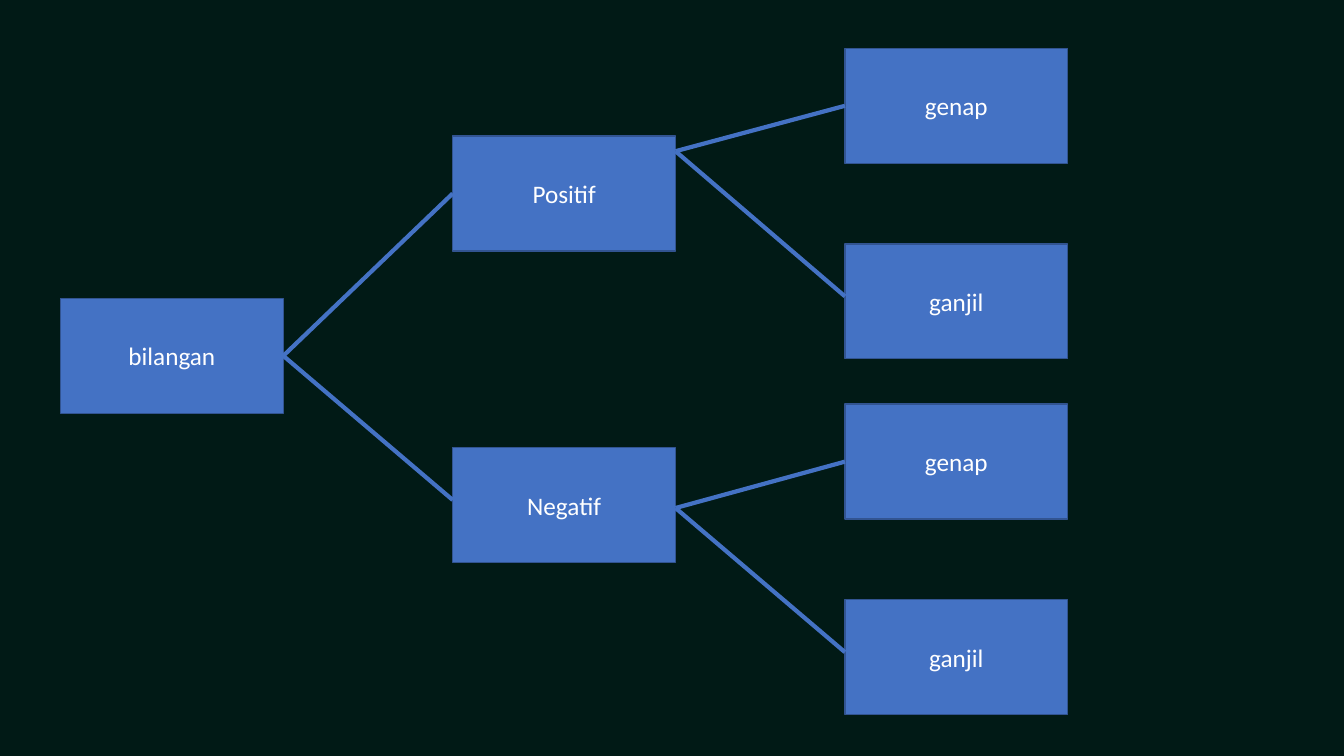
from dataclasses import dataclass

import pptx
import pptx.dml.color
import pptx.enum.shapes
import pptx.enum.text
import pptx.oxml.ns
import pptx.shapes.autoshape
import pptx.slide
import pptx.util
from lxml import etree
from pptx.util import Inches


@dataclass(frozen=True)
class Theme:
    background: str = "011A16"
    box: str = "4472C4"
    border: str = "325491"
    branch: str = "4472C4"
    label: str = "FFFFFF"
    font: str = "Calibri"
    label_size: float = 18
    border_width: float = 1
    branch_width: float = 3


@dataclass(frozen=True)
class Category:
    label: str
    top: float
    fork_y: float | None = None  # None: branches leave from the side's middle
    children: tuple["Category", ...] = ()


THEME = Theme()
LEFT, COLUMN_STEP = 0.6, 3.89
BOX_WIDTH, BOX_HEIGHT = 2.21, 1.14
LOWER_BRANCH_RISE = 0.05  # lower branches meet their box just above its middle
LEFT_SIDE, RIGHT_SIDE = 1, 3

NUMBERS = Category("bilangan", 2.96, children=(
    Category("Positif", 1.35, 1.5, (
        Category("genap", 0.48), Category("ganjil", 2.42))),
    Category("Negatif", 4.44, 5.04, (
        Category("genap", 4.01), Category("ganjil", 5.95))),
))


def rgb(value: str) -> pptx.dml.color.RGBColor:
    return pptx.dml.color.RGBColor.from_string(value)


def column_left(level: int) -> float:
    return LEFT + level * COLUMN_STEP


def add_box(slide: pptx.slide.Slide, category: Category,
            level: int) -> pptx.shapes.autoshape.Shape:
    box = slide.shapes.add_shape(
        pptx.enum.shapes.MSO_SHAPE.RECTANGLE,
        Inches(column_left(level)), Inches(category.top),
        Inches(BOX_WIDTH), Inches(BOX_HEIGHT))
    box.shadow.inherit = False
    box.fill.solid()
    box.fill.fore_color.rgb = rgb(THEME.box)
    box.line.color.rgb = rgb(THEME.border)
    box.line.width = pptx.util.Pt(THEME.border_width)
    box.text_frame.word_wrap = True
    box.text_frame.vertical_anchor = pptx.enum.text.MSO_ANCHOR.MIDDLE
    paragraph = box.text_frame.paragraphs[0]
    paragraph.alignment = pptx.enum.text.PP_ALIGN.CENTER
    run = paragraph.add_run()
    run.text = category.label
    run.font.name = THEME.font
    run.font.size = pptx.util.Pt(THEME.label_size)
    run.font.color.rgb = rgb(THEME.label)
    return box


def add_branch(slide: pptx.slide.Slide, parent: Category, child: Category, level: int,
               parent_box: pptx.shapes.autoshape.Shape,
               child_box: pptx.shapes.autoshape.Shape) -> None:
    is_upper = child is parent.children[0]
    start_y = parent.top + BOX_HEIGHT / 2 if parent.fork_y is None else parent.fork_y
    end_y = child.top + BOX_HEIGHT / 2 - (0 if is_upper else LOWER_BRANCH_RISE)
    branch = slide.shapes.add_connector(
        pptx.enum.shapes.MSO_CONNECTOR.STRAIGHT,
        Inches(column_left(level) + BOX_WIDTH), Inches(start_y),
        Inches(column_left(level + 1)), Inches(end_y))
    if parent.fork_y is None:
        branch.begin_connect(parent_box, RIGHT_SIDE)
    if is_upper:
        branch.end_connect(child_box, LEFT_SIDE)
    branch.line.color.rgb = rgb(THEME.branch)
    branch.line.width = pptx.util.Pt(THEME.branch_width)
    etree.SubElement(branch._element.spPr, pptx.oxml.ns.qn("a:effectLst"))


def add_tree(slide: pptx.slide.Slide, category: Category,
             level: int = 0) -> pptx.shapes.autoshape.Shape:
    box = add_box(slide, category, level)
    for child in category.children:
        child_box = add_tree(slide, child, level + 1)
        add_branch(slide, category, child, level, box, child_box)
    return box


def main() -> None:
    # Slide and background
    presentation = pptx.Presentation()
    presentation.slide_width = Inches(13.33)
    presentation.slide_height = Inches(7.5)
    slide = presentation.slides.add_slide(presentation.slide_layouts[6])
    slide.background.fill.solid()
    slide.background.fill.fore_color.rgb = rgb(THEME.background)

    # Number classification tree
    add_tree(slide, NUMBERS)
    presentation.save("out.pptx")


if __name__ == "__main__":
    main()
